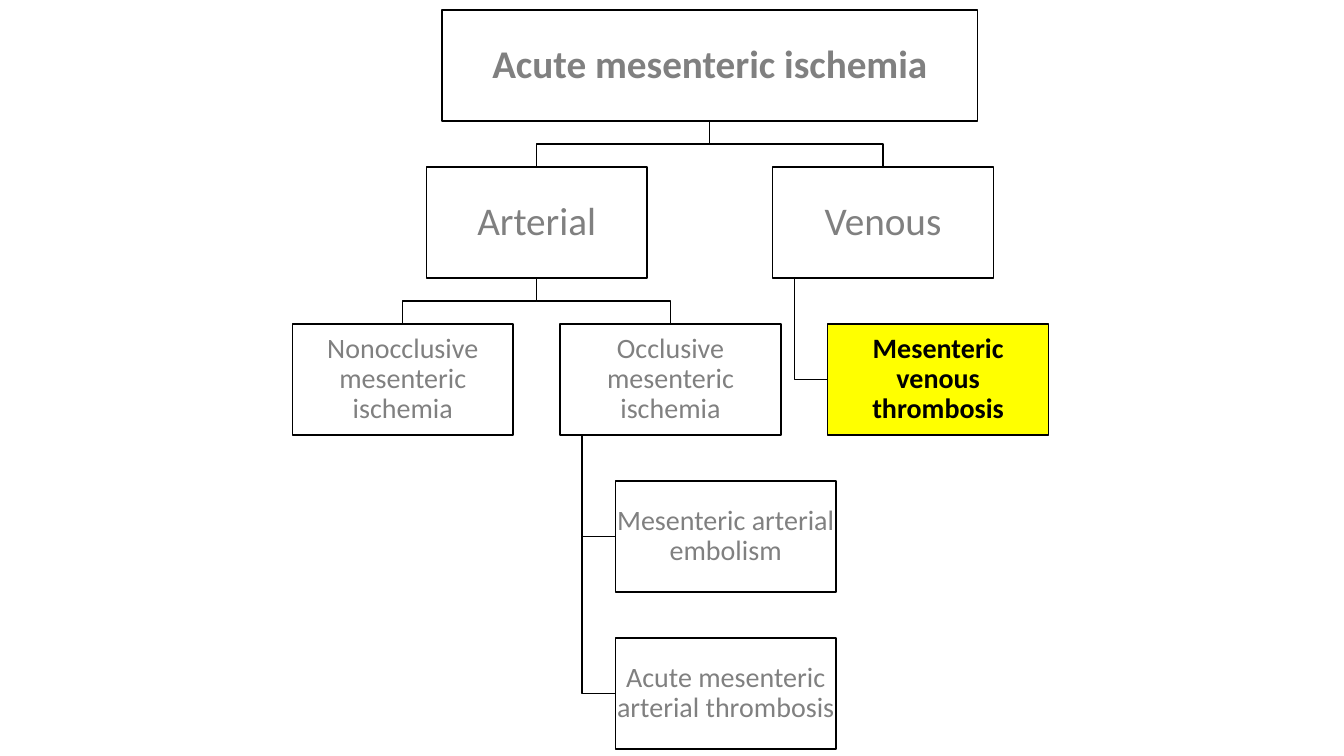
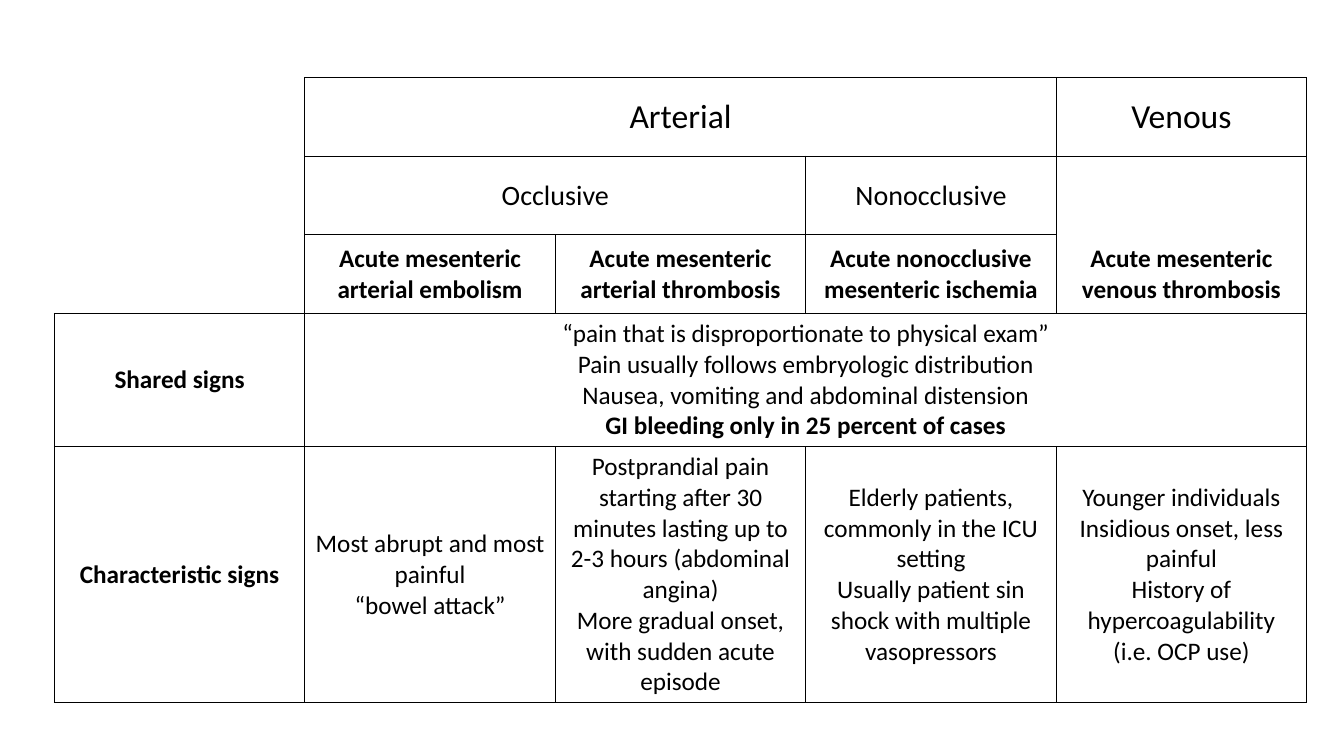
from lxml import etree
from pptx import Presentation
from pptx.dml.color import RGBColor
from pptx.enum.shapes import MSO_SHAPE
from pptx.enum.text import MSO_ANCHOR, PP_ALIGN
from pptx.oxml.ns import qn
from pptx.util import Inches, Pt

COLORS = {"ink": "000000", "muted": "808080", "paper": "FFFFFF", "highlight": "FFFF00"}
FONT = "Calibri"
RULE = Pt(1)
NO_STYLE = "{2D5ABB26-0587-4C30-8999-92F81FD0307C}"


def write(frame, lines, size, color, bold_lines=()):
    """Fill a text frame with centred paragraphs, some of them bold."""
    frame.text = "\n".join(lines)
    for line, paragraph in zip(lines, frame.paragraphs):
        paragraph.alignment = PP_ALIGN.CENTER
        font = paragraph.font
        font.name, font.size, font.bold = FONT, Pt(size), line in bold_lines
        font.color.rgb = RGBColor.from_string(COLORS[color])


def draw_borders(cell, sides):
    """Draw the named sides (of L, R, T, B) and clear the others."""
    properties = cell._tc.get_or_add_tcPr()
    for side in "LRTB":
        border = etree.SubElement(properties, qn(f"a:ln{side}"), w=str(int(RULE)))
        if side in sides:
            fill = etree.SubElement(border, qn("a:solidFill"))
            etree.SubElement(fill, qn("a:srgbClr"), val=COLORS["ink"])
        else:
            etree.SubElement(border, qn("a:noFill"))


prs = Presentation()
prs.slide_width, prs.slide_height = Inches(13.33), Inches(7.5)
blank = prs.slide_layouts[6]

# Slide 1: classification tree
tree = prs.slides.add_slide(blank)
LEFT, RIGHT = 2.9, 8.21
TOP, BOTTOM = 0.1, 6.33
COLUMN, ROW = (RIGHT - LEFT) / 2, (BOTTOM - TOP) / 4
BOX_W, BOX_H, ROOT_W = 2.19, 1.1, 5.31
INDENT = BOX_W / 4

left_of = {
    "nonocclusive": LEFT,
    "occlusive": LEFT + COLUMN,
    "thrombosis": RIGHT,
    "arterial": LEFT + COLUMN / 2,
    "venous": RIGHT - INDENT,
    "embolism": LEFT + COLUMN + INDENT,
    "arterial thrombosis": LEFT + COLUMN + INDENT,
}
left_of["root"] = (left_of["arterial"] + left_of["venous"] + BOX_W - ROOT_W) / 2

# key: (row, text, size, style)
nodes = {
    "root": (0, "Acute mesenteric ischemia", 28, "bold"),
    "arterial": (1, "Arterial", 28, "plain"),
    "venous": (1, "Venous", 28, "plain"),
    "nonocclusive": (2, "Nonocclusive mesenteric ischemia", 20, "plain"),
    "occlusive": (2, "Occlusive mesenteric ischemia", 20, "plain"),
    "thrombosis": (2, "Mesenteric venous thrombosis", 20, "highlight"),
    "embolism": (3, "Mesenteric arterial embolism", 20, "plain"),
    "arterial thrombosis": (4, "Acute mesenteric arterial thrombosis", 20, "plain"),
}
top_of = {key: TOP + node[0] * ROW for key, node in nodes.items()}
forks = {"root": ("arterial", "venous"), "arterial": ("nonocclusive", "occlusive")}
hangers = {"venous": ("thrombosis",), "occlusive": ("embolism", "arterial thrombosis")}

routes = []
for parent, children in forks.items():
    start_x = left_of[parent] + (ROOT_W if parent == "root" else BOX_W) / 2
    start_y = top_of[parent] + BOX_H
    for child in children:
        end_x, end_y = left_of[child] + BOX_W / 2, top_of[child]
        middle_y = (start_y + end_y) / 2
        routes.append([(start_x, start_y), (start_x, middle_y),
                       (end_x, middle_y), (end_x, end_y)])
for parent, children in hangers.items():
    trunk_x = left_of[parent] + BOX_W / 10
    for child in children:
        end_y = top_of[child] + BOX_H / 2
        routes.append([(trunk_x, top_of[parent] + BOX_H), (trunk_x, end_y),
                       (left_of[child], end_y)])

for route in routes:
    start, *bends = [(Inches(x), Inches(y)) for x, y in route]
    builder = tree.shapes.build_freeform(*start)
    builder.add_line_segments(bends, close=False)
    branch = builder.convert_to_shape()
    branch.shadow.inherit = False
    branch.fill.background()
    branch.line.color.rgb = RGBColor.from_string(COLORS["ink"])
    branch.line.width = RULE

for key, (_, text, size, style) in nodes.items():
    width = ROOT_W if key == "root" else BOX_W
    node = tree.shapes.add_shape(
        MSO_SHAPE.RECTANGLE, Inches(left_of[key]), Inches(top_of[key]),
        Inches(width), Inches(BOX_H))
    node.shadow.inherit = False
    highlighted = style == "highlight"
    node.fill.solid()
    node.fill.fore_color.rgb = RGBColor.from_string(
        COLORS["highlight" if highlighted else "paper"])
    node.line.color.rgb = RGBColor.from_string(COLORS["ink"])
    node.line.width = RULE
    frame = node.text_frame
    frame.word_wrap = True
    frame.vertical_anchor = MSO_ANCHOR.MIDDLE
    frame.margin_left = frame.margin_right = Inches(0.01)
    frame.margin_top = frame.margin_bottom = Inches(0.01)
    write(frame, [text], size, "ink" if highlighted else "muted",
          () if style == "plain" else (text,))
    frame.paragraphs[0].line_spacing = 0.9

# Slide 2: comparison of signs
comparison = prs.slides.add_slide(blank)
TABLE_W = 12.42
ROW_HEIGHTS = [0.78, 0.78, 0.78, 1.32, 2.54]
ROW_SIZES = [24, 20, 18, 18, 18]
BLEEDING = "GI bleeding only in 25 percent of cases"
signs = [
    [[], ["Arterial"], [], [], ["Venous"]],
    [[], ["Occlusive"], [], ["Nonocclusive"], []],
    [[], ["Acute mesenteric arterial embolism"], ["Acute mesenteric arterial thrombosis"],
     ["Acute nonocclusive mesenteric ischemia"], ["Acute mesenteric venous thrombosis"]],
    [["Shared signs"],
     ["“pain that is disproportionate to physical exam”",
      "Pain usually follows embryologic distribution",
      "Nausea, vomiting and abdominal distension", BLEEDING], [], [], []],
    [["Characteristic signs"],
     ["Most abrupt and most painful", "“bowel attack”"],
     ["Postprandial pain starting after 30 minutes lasting up to 2-3 hours (abdominal angina)",
      "More gradual onset, with sudden acute episode"],
     ["Elderly patients, commonly in the ICU setting",
      "Usually patient sin shock with multiple vasopressors"],
     ["Younger individuals", "Insidious onset, less painful",
      "History of hypercoagulability (i.e. OCP use)"]],
]
last_columns = {(0, 1): 3, (1, 1): 2, (3, 1): 4}
open_sides = {(0, 0): "R", (1, 0): "R", (2, 0): "RB", (1, 4): "LRT", (2, 4): "LRB"}

graphic = comparison.shapes.add_table(
    len(signs), len(signs[0]), Inches(0.54), Inches(0.77),
    Inches(TABLE_W), Inches(sum(ROW_HEIGHTS)))
table = graphic.table
table.first_row = table.horz_banding = False
graphic.element.find(f".//{qn('a:tableStyleId')}").text = NO_STYLE
for row, height in zip(table.rows, ROW_HEIGHTS):
    row.height = Inches(height)
for (row, column), last in last_columns.items():
    table.cell(row, column).merge(table.cell(row, last))

for row, entries in enumerate(signs):
    for column, lines in enumerate(entries):
        cell = table.cell(row, column)
        draw_borders(cell, open_sides.get((row, column), "LRTB"))
        cell.fill.background()
        cell.vertical_anchor = MSO_ANCHOR.MIDDLE
        if lines:
            is_heading = row == 2 or column == 0
            write(cell.text_frame, lines, ROW_SIZES[row], "ink",
                  lines if is_heading else (BLEEDING,))

prs.save("out.pptx")
